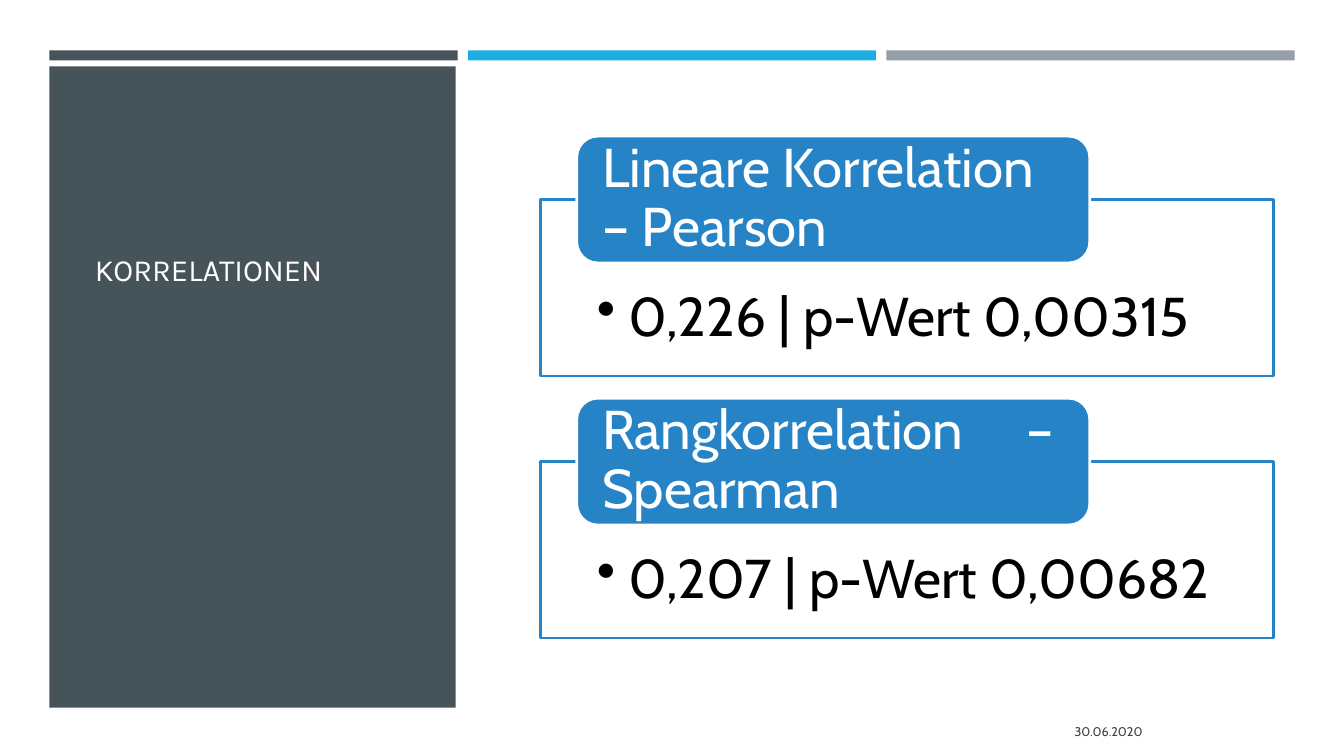
from lxml.etree import SubElement
from pptx import Presentation
from pptx.dml.color import RGBColor
from pptx.enum.shapes import MSO_SHAPE
from pptx.enum.text import MSO_ANCHOR, MSO_AUTO_SIZE, PP_ALIGN
from pptx.oxml.ns import qn
from pptx.util import Inches, Pt

COLORS = {
    "slate": "465359", "cyan": "1CADE4", "gray": "969FA7", "blue": "2683C6",
    "white": "FFFFFF", "black": "000000", "date": "404040",
}
CORRELATIONS = [
    ("Lineare Korrelation – Pearson", "0,226 | p-Wert 0,00315"),
    ("Rangkorrelation\t– Spearman", "0,207 | p-Wert 0,00682"),
]


def rgb(name):
    """Return the named colour."""
    return RGBColor.from_string(COLORS[name])


def add_block(slide, kind, box, fill, line=None, line_width=0):
    """Draw a filled shape in a box given in inches."""
    block = slide.shapes.add_shape(kind, *map(Inches, box))
    block.shadow.inherit = False
    block.fill.solid()
    block.fill.fore_color.rgb = rgb(fill)
    if line:
        block.line.color.rgb = rgb(line)
        block.line.width = Pt(line_width)
    else:
        block.line.fill.background()
    return block


def write_text(holder, text, size, font, color, anchor, insets, align=PP_ALIGN.LEFT):
    """Fill a holder with one formatted paragraph and return it."""
    frame = holder.text_frame
    frame.text = text
    frame.word_wrap = True
    frame.auto_size = MSO_AUTO_SIZE.NONE
    frame.vertical_anchor = anchor
    (frame.margin_left, frame.margin_top,
     frame.margin_right, frame.margin_bottom) = map(Inches, insets)
    paragraph = frame.paragraphs[0]
    paragraph.alignment = align
    for run in paragraph.runs:
        run.font.size = Pt(size)
        run.font.name = font
        run.font.color.rgb = rgb(color)
    return paragraph


def add_top_bars(slide, box):
    """Divide the box into three coloured bars."""
    left, top, width, height = box
    gap = 0.1
    bar_width = (width - 2 * gap) / 3
    for index, color in enumerate(("slate", "cyan", "gray")):
        bar_left = left + index * (bar_width + gap)
        add_block(slide, MSO_SHAPE.RECTANGLE, (bar_left, top, bar_width, height), color)


def add_title_panel(slide, box):
    """Draw the dark panel and set the title on it."""
    left, top, width, height = box
    panel = add_block(slide, MSO_SHAPE.RECTANGLE, box, "slate")
    title = slide.shapes.title
    panel.element.addnext(title.element)
    title.left, title.top = Inches(left + 0.35), Inches(top + 0.36)
    title.width, title.height = Inches(width - 0.71), Inches(1.88)
    write_text(title, "KORRELATIONEN", 22, "Karla", "white",
               MSO_ANCHOR.BOTTOM, (0.1, 0.05, 0.1, 0.05))


def add_correlation(slide, box, heading, result):
    """Draw a framed result with its heading tab on the upper edge."""
    left, top, width, height = box
    tab_height = 1.26
    frame_top = top + tab_height / 2
    frame = add_block(slide, MSO_SHAPE.RECTANGLE,
                      (left, frame_top, width, height - tab_height / 2),
                      "white", "blue", 1.75)
    fill_color = frame.element.spPr.find(qn("a:solidFill"))[0]
    SubElement(fill_color, qn("a:alpha"), val="90000")
    value = write_text(frame, result, 39, "Cabin", "black",
                       MSO_ANCHOR.TOP, (0.56, 0.89, 0.56, 0.3))
    value.level = 1
    value.line_spacing = 0.9
    properties = value._p.get_or_add_pPr()
    properties.set("marL", str(Inches(0.31)))
    properties.set("indent", str(Inches(-0.31)))
    SubElement(properties, qn("a:buChar"), char="•")

    tab = add_block(slide, MSO_SHAPE.ROUNDED_RECTANGLE,
                    (left + 0.36, top, 0.7 * width, tab_height), "blue", "white", 2)
    label = write_text(tab, heading, 39, "Cabin", "white",
                       MSO_ANCHOR.MIDDLE, (0.19, 0, 0.19, 0))
    label.line_spacing = 0.9
    if "\t" in heading:
        stops = SubElement(label._p.get_or_add_pPr(), qn("a:tabLst"))
        SubElement(stops, qn("a:tab"), pos=str(Inches(4.21)), algn="l")


def add_correlations(slide, box):
    """Stack the correlations evenly in the box."""
    left, top, width, height = box
    gap = 0.22
    count = len(CORRELATIONS)
    item_height = (height - gap * (count - 1)) / count
    for index, (heading, result) in enumerate(CORRELATIONS):
        item_top = top + index * (item_height + gap)
        add_correlation(slide, (left, item_top, width, item_height), heading, result)


def add_date(slide, box):
    """Write the date at the right of the footer."""
    date = slide.shapes.add_textbox(*map(Inches, box))
    write_text(date, "30.06.2020", 9, "Cabin", "date", MSO_ANCHOR.MIDDLE,
               (0.1, 0.05, 0.1, 0.05), PP_ALIGN.RIGHT)


def main():
    """Build and save the slide."""
    presentation = Presentation()
    presentation.slide_width, presentation.slide_height = Inches(13.33), Inches(7.5)
    slide = presentation.slides.add_slide(presentation.slide_layouts[5])
    slide.background.fill.solid()
    slide.background.fill.fore_color.rgb = rgb("white")
    add_top_bars(slide, (0.49, 0.5, 12.35, 0.1))
    add_title_panel(slide, (0.49, 0.66, 4.03, 6.36))
    add_date(slide, (8.32, 7.06, 3.11, 0.4))
    add_correlations(slide, (5.36, 1.35, 7.27, 4.98))
    presentation.save("out.pptx")


if __name__ == "__main__":
    main()
